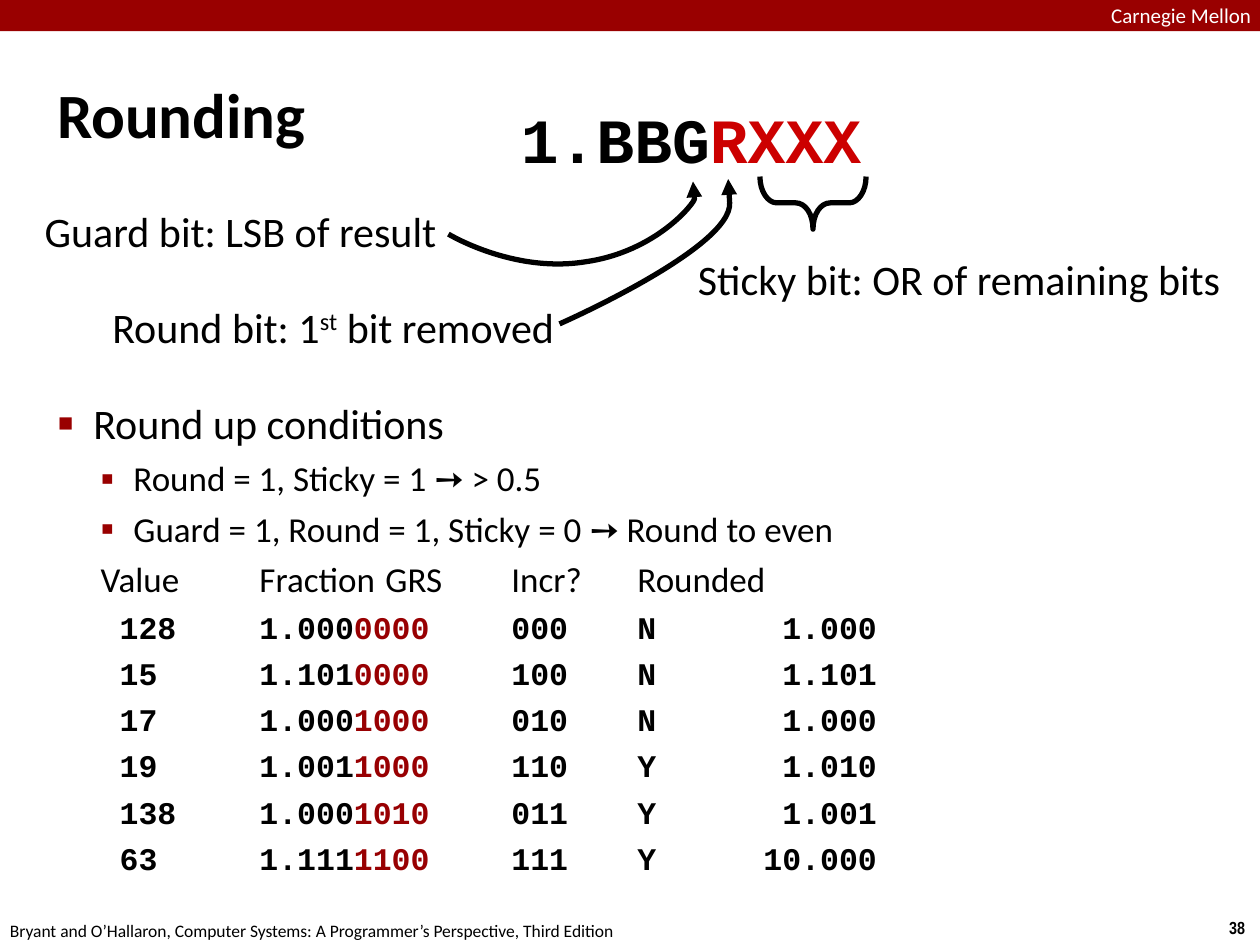
from dataclasses import dataclass

from lxml.etree import SubElement
from pptx import Presentation
from pptx.dml.color import RGBColor as Rgb
from pptx.enum.shapes import MSO_SHAPE as Shape
from pptx.enum.text import MSO_ANCHOR as Anchor, MSO_AUTO_SIZE as Fit, PP_ALIGN as Align
from pptx.oxml.ns import qn
from pptx.util import Cm, Pt


@dataclass(frozen=True)
class Theme:
    sans: str = "Calibri"
    mono: str = "Courier New"
    thin: str = "Arial Narrow"
    black: str = "000000"
    white: str = "FFFFFF"
    bar: str = "990000"
    bits: str = "980002"
    lost: str = "CC0000"
    head: int = 36
    main: int = 24
    sub: int = 20
    code: int = 18
    brand: int = 12
    foot: int = 10
    pen: int = 3


T = Theme()
STEP = 2.54
TABS = [4.06 + STEP * n for n in range(5)]
ROWS = [
    ("128", "1.000", "0000", "000", "N", " 1.000"),
    ("15", "1.101", "0000", "100", "N", " 1.101"),
    ("17", "1.000", "1000", "010", "N", " 1.000"),
    ("19", "1.001", "1000", "110", "Y", " 1.010"),
    ("138", "1.000", "1010", "011", "Y", " 1.001"),
    ("63", "1.111", "1100", "111", "Y", "10.000"),
]


def style(font, size, color=T.black, name=T.sans, bold=False):
    font.size, font.name, font.bold = Pt(size), name, bold
    font.color.rgb = Rgb.from_string(color)


def place(shape, x, y, w, h):
    shape.left, shape.top, shape.width, shape.height = Cm(x), Cm(y), Cm(w), Cm(h)


def pad(frame, gap=0.1):
    frame.margin_left = frame.margin_right = Cm(gap)
    frame.margin_top = frame.margin_bottom = Cm(gap)


def label(slide, area, text, size, align=Align.LEFT, wrap=False, gap=0.1, **look):
    """Add a one-line text box and return its paragraph."""
    frame = slide.shapes.add_textbox(*map(Cm, area)).text_frame
    frame.word_wrap = wrap
    frame.auto_size = Fit.NONE if wrap else Fit.SHAPE_TO_FIT_TEXT
    if gap is not None:
        pad(frame, gap)
    para = frame.paragraphs[0]
    para.alignment = align
    para.add_run().text = text
    style(para.font, size, **look)
    return para


def indent(para, left, first):
    props = para._p.get_or_add_pPr()
    props.set("marL", str(Cm(left)))
    props.set("indent", str(Cm(first)))
    return props


def bullet(para, mark, scale, left, first):
    props = indent(para, left, first)
    color = SubElement(props, qn("a:buClr"))
    SubElement(color, qn("a:srgbClr"), val=T.bar)
    SubElement(props, qn("a:buSzPct"), val=str(scale * 1000))
    SubElement(props, qn("a:buFont"), typeface="Arial")
    SubElement(props, qn("a:buChar"), char=mark)


def columns(para):
    """Turn a paragraph into a row with tab stops and no bullet."""
    props = indent(para, 1.52, -0.66)
    props.set("defTabSz", str(Cm(STEP)))
    SubElement(props, qn("a:buNone"))
    stops = SubElement(props, qn("a:tabLst"))
    for stop in TABS:
        SubElement(stops, qn("a:tab"), pos=str(Cm(stop)), algn="l")


def stroke(slide, start, parts, arrow=False):
    """Draw lines (parts of one point) and Bézier curves (parts of three)."""
    pen = slide.shapes.build_freeform(*map(Cm, start))
    pen.add_line_segments([tuple(map(Cm, p)) for part in parts for p in part], close=False)
    shape = pen.convert_to_shape()
    legs = iter(list(shape._element.iter(qn("a:lnTo"))))
    for part in parts:
        group = [next(legs) for _ in part]
        if len(group) == 3:
            bend = SubElement(group[0].getparent(), qn("a:cubicBezTo"))
            group[0].addprevious(bend)
            for leg in group:
                bend.append(leg[0])
                leg.getparent().remove(leg)
    shape.shadow.inherit = False
    shape.fill.background()
    shape.line.width = Pt(T.pen)
    shape.line.color.rgb = Rgb.from_string(T.black)
    if arrow:
        SubElement(shape.line._get_or_add_ln(), qn("a:tailEnd"), type="triangle")


def frame_parts(slide):
    """Top bar, footer and page number."""
    bar = slide.shapes.add_shape(Shape.RECTANGLE, 0, 0, Cm(25.4), Cm(0.63))
    bar.shadow.inherit = False
    bar.fill.solid()
    bar.fill.fore_color.rgb = Rgb.from_string(T.bar)
    bar.line.fill.background()
    label(slide, (22.4, 0.06, 3.66, 0.48), "Carnegie Mellon", T.brand,
          wrap=True, gap=0, color=T.white)
    label(slide, (24.51, 18.36, 0.86, 0.69), "38", T.foot, Align.CENTER,
          gap=None, name=T.thin, bold=True)
    label(slide, (-0.17, 18.42, 12.9, 0.69),
          "Bryant and O’Hallaron, Computer Systems: A Programmer’s Perspective, Third Edition",
          T.foot, Align.CENTER, gap=None)


def heading(slide):
    title = slide.shapes.title
    place(title, 1.05, 0.69, 23.29, 3.18)
    frame = title.text_frame
    frame.text = "Rounding"
    frame.vertical_anchor = Anchor.MIDDLE
    frame.auto_size = Fit.NONE
    pad(frame)
    frame.paragraphs[0].alignment = Align.LEFT
    style(frame.paragraphs[0].font, T.head, bold=True)


def body(slide):
    """Bulleted conditions, then the tabbed rows."""
    holder = slide.placeholders[1]
    place(holder, 1.07, 7.92, 23.29, 11.07)
    frame = holder.text_frame
    frame.auto_size = Fit.NONE
    frame.vertical_anchor = Anchor.TOP
    pad(frame)

    para = frame.paragraphs[0]
    para.text = "Round up conditions"
    para.space_before = Pt(0)
    bullet(para, "■", 60, 0.71, -0.71)
    style(para.font, T.main)

    def line():
        para = frame.add_paragraph()
        para.level, para.space_before = 1, Pt(4.8)
        return para

    for text in ("Round = 1, Sticky = 1 ➙ > 0.5",
                 "Guard = 1, Round = 1, Sticky = 0 ➙ Round to even"):
        para = line()
        para.text = text
        bullet(para, "▪", 110, 1.52, -0.66)
        style(para.font, T.sub)

    para = line()
    para.text = "\t".join(("Value", "Fraction", "GRS", "Incr?", "Rounded"))
    columns(para)
    style(para.font, T.sub)

    for value, kept, cut, grs, incr, result in ROWS:
        para = line()
        columns(para)
        style(para.font, T.code, name=T.mono, bold=True)
        for text, color in ((f" {value}\t{kept}", T.black), (f"{cut}\t", T.bits),
                            (f"{grs}\t{incr}\t{result}", T.black)):
            run = para.add_run()
            run.text = text
            run.font.color.rgb = Rgb.from_string(color)


def diagram(slide):
    """Bit pattern with its three labels, arrows and brace."""
    para = label(slide, (10.36, 1.93, 7.14, 1.75), "1.BBG", T.head, Align.CENTER,
                 name=T.mono, bold=True)
    lost = para.add_run()
    lost.text = "RXXX"
    lost.font.color.rgb = Rgb.from_string(T.lost)

    label(slide, (0.39, 4.04, 8.51, 1.24), "Guard bit: LSB of result", T.main,
          Align.RIGHT, wrap=True)
    para = label(slide, (1.85, 5.97, 9.42, 1.24), "Round bit: 1", T.main, Align.RIGHT)
    power = para.add_run()
    power.text = "st"
    power._r.get_or_add_rPr().set("baseline", "30000")
    para.add_run().text = " bit removed"
    label(slide, (13.97, 5.02, 11.07, 1.24), "Sticky bit: OR of remaining bits", T.main)

    # The brace is one half and its mirror image
    mid = 16.39
    half = [(17.46, 3.56), (17.46, 3.86), (17.3, 4.09), (17.12, 4.09), (16.74, 4.09),
            (16.54, 4.09), (mid, 4.32), (mid, 4.62)]
    back = [(2 * mid - x, y) for x, y in half[-2::-1]]
    stroke(slide, half[0], [side[a:b] for side in (half[1:], back)
                            for a, b in ((0, 3), (3, 4), (4, 7))])

    # Arrows from the labels to the bits
    stroke(slide, (11.28, 6.53), [
        [(11.28, 6.53), (14.76, 5), (14.71, 4.09)], [(14.68, 3.61)]], arrow=True)
    stroke(slide, (9.04, 4.72), [
        [(9.04, 4.72), (10.34, 5.51), (11.79, 5.28)],
        [(13.23, 5.08), (14, 4.09), (14, 4.01)], [(13.97, 3.66)]], arrow=True)


def main():
    deck = Presentation()
    deck.slide_width, deck.slide_height = Cm(25.4), Cm(19.05)
    slide = deck.slides.add_slide(deck.slide_layouts[1])
    frame_parts(slide)
    heading(slide)
    body(slide)
    diagram(slide)
    deck.save("out.pptx")


if __name__ == "__main__":
    main()
